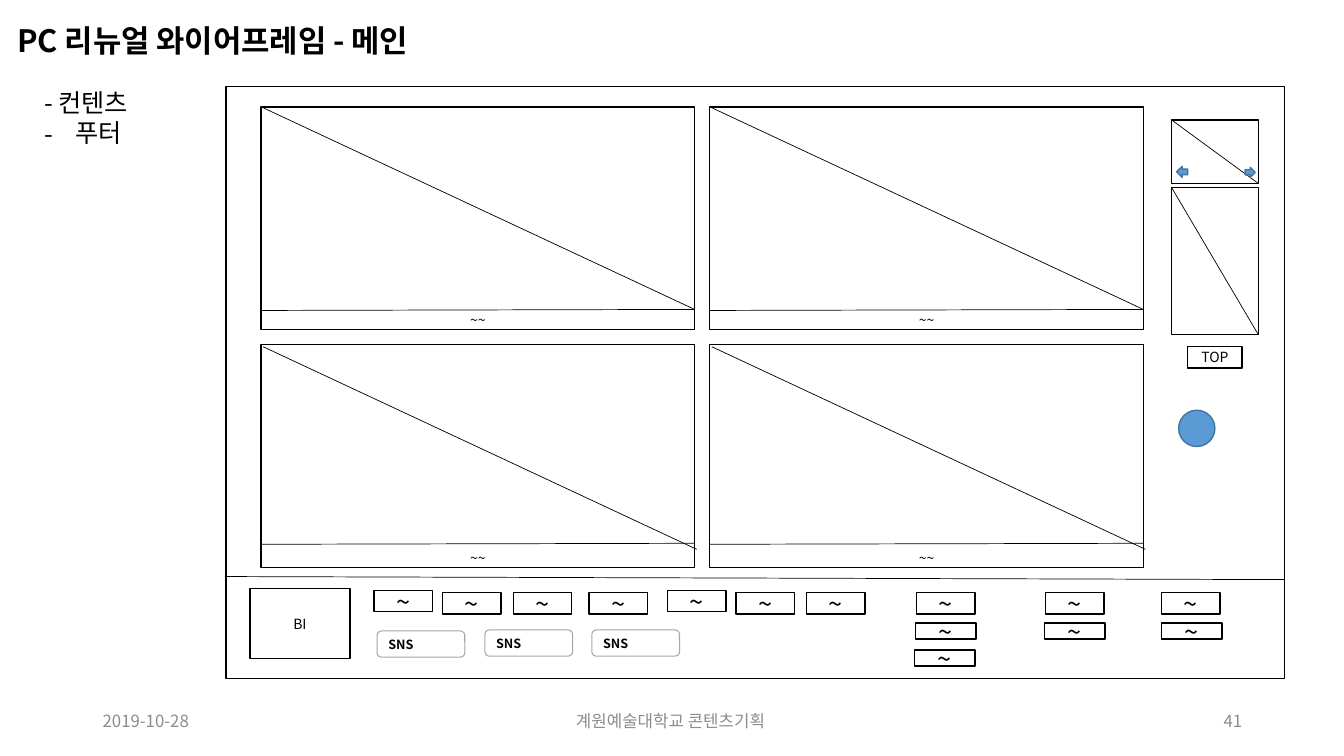
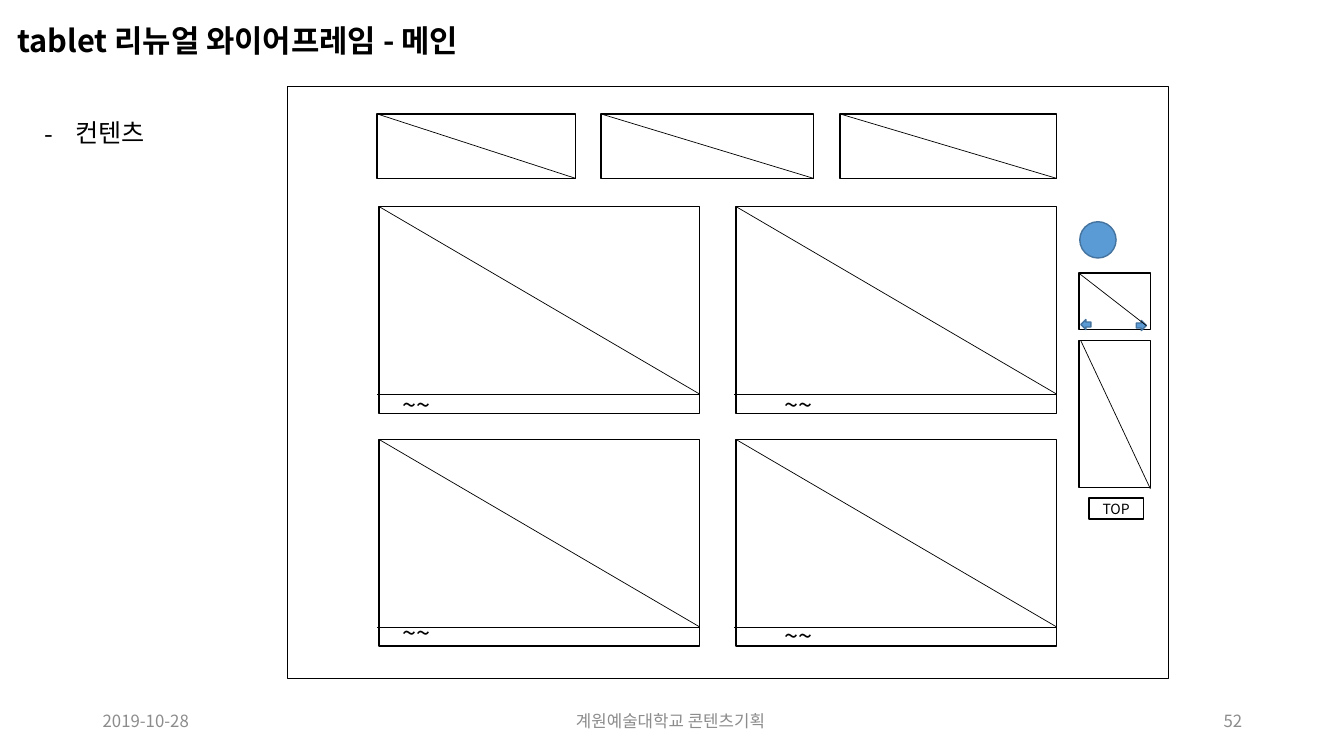
from lxml.etree import SubElement
from pptx import Presentation
from pptx.dml.color import RGBColor
from pptx.enum.shapes import MSO_CONNECTOR, MSO_SHAPE as Shape
from pptx.enum.text import MSO_ANCHOR as Anchor, MSO_AUTO_SIZE, PP_ALIGN as Align
from pptx.oxml.ns import qn
from pptx.util import Inches, Pt

FONT = "Noto Sans CJK KR"
COLORS = {
    "ink": "000000",
    "muted": "8C8C8C",
    "paper": "FFFFFF",
    "button_edge": "A6A6A6",
    "accent": "5B9BD5",
    "accent_edge": "43739E",
}
DATE = "2019-10-28"
FOOTER = "계원예술대학교 콘텐츠기획 "
BLANK_TITLE_LAYOUT = 5


def color(name):
    return RGBColor.from_string(COLORS[name])


# Text
def add_text(para, text, size, ink="ink", bold=False, align=Align.LEFT):
    para.alignment = align
    span = para.add_run()
    span.text = text
    span.font.size = Pt(size)
    span.font.bold = bold
    span.font.color.rgb = color(ink)
    span.font.name = FONT
    SubElement(span.font._element, qn("a:ea"), typeface=FONT)


def add_textbox(slide, left, top, width, height, wrap=True):
    frame = slide.shapes.add_textbox(
        Inches(left), Inches(top), Inches(width), Inches(height)).text_frame
    frame.word_wrap = wrap
    frame.vertical_anchor = Anchor.MIDDLE
    return frame


def add_label(slide, text, left, top, width, height, size, **style):
    frame = add_textbox(slide, left, top, width, height)
    add_text(frame.paragraphs[0], text, size, **style)


def add_bullet(para):
    properties = para._p.get_or_add_pPr()
    indent = Inches(0.31)
    properties.set("marL", str(indent))
    properties.set("indent", str(-indent))
    SubElement(properties, qn("a:buFont"), typeface=FONT)
    SubElement(properties, qn("a:buChar"), char="-")


def add_sections(slide, top, height, sections):
    """List the page sections; each is a text and whether it is bulleted."""
    frame = add_textbox(slide, 0.34, top, 1.27, height, wrap=False)
    for index, (text, bulleted) in enumerate(sections):
        para = frame.add_paragraph() if index else frame.paragraphs[0]
        para.line_spacing = Pt(21.6)
        if bulleted:
            add_bullet(para)
        add_text(para, text, 18)


# Shapes and lines
def add_box(slide, left, top, width, height, kind=Shape.RECTANGLE,
            fill=None, edge="ink", weight=1):
    box = slide.shapes.add_shape(
        kind, Inches(left), Inches(top), Inches(width), Inches(height))
    box.shadow.inherit = False
    if fill:
        box.fill.solid()
        box.fill.fore_color.rgb = color(fill)
    else:
        box.fill.background()
    box.line.color.rgb = color(edge)
    box.line.width = Pt(weight)
    return box


def add_text_box_shape(slide, text, left, top, width, height, size):
    box = add_box(slide, left, top, width, height)
    frame = box.text_frame
    frame.vertical_anchor = Anchor.MIDDLE
    add_text(frame.paragraphs[0], text, size, align=Align.CENTER)


def add_accent(slide, kind, left, top, size):
    add_box(slide, left, top, size, size, kind, "accent", "accent_edge")


def add_line(slide, x1, y1, x2, y2):
    line = slide.shapes.add_connector(
        MSO_CONNECTOR.STRAIGHT, Inches(x1), Inches(y1), Inches(x2), Inches(y2))
    line.line.color.rgb = color("ink")
    line.line.width = Pt(0.5)
    SubElement(line._element.spPr, qn("a:effectLst"))


def add_image_slot(slide, left, top, width, height):
    add_box(slide, left, top, width, height)
    add_line(slide, left, top, left + width, top + height)


def add_sns_button(slide, left, top):
    button = add_box(slide, left, top, 0.87, 0.26, Shape.ROUNDED_RECTANGLE,
                     "paper", "button_edge", 0.75)
    button.text_frame.vertical_anchor = Anchor.MIDDLE
    add_text(button.text_frame.paragraphs[0], "SNS", 9, bold=True)


# Page frame shared by the slides
def add_page(deck, title, number):
    slide = deck.slides.add_slide(deck.slide_layouts[BLANK_TITLE_LAYOUT])
    heading = slide.shapes.title
    heading.left, heading.top = Inches(0.07), Inches(0.16)
    heading.width, heading.height = Inches(5.01), Inches(0.47)
    frame = heading.text_frame
    frame.auto_size = MSO_AUTO_SIZE.NONE
    frame.word_wrap = False
    frame.vertical_anchor = Anchor.MIDDLE
    add_text(frame.paragraphs[0], title, 22, bold=True)
    for text, left, width, align in (
            (DATE, 0.92, 3, Align.LEFT),
            (FOOTER, 4.42, 4.5, Align.CENTER),
            (str(number), 9.42, 3, Align.RIGHT)):
        add_label(slide, text, left, 6.95, width, 0.4, 12,
                  ink="muted", align=align)
    return slide


# PC wireframe
def add_pc_card(slide, left, top, strip, shift):
    width, height = 4.3, 2.21
    card = add_box(slide, left, top, width, height)
    frame = card.text_frame
    frame.vertical_anchor = Anchor.BOTTOM
    frame.margin_bottom = Inches(0.01)
    add_text(frame.paragraphs[0], "~~", 10, align=Align.CENTER)
    add_line(slide, left, strip + 0.01, left + width, strip)
    add_line(slide, left + shift, top + shift,
             left + width + shift, top + 2.01 + shift)


def add_pc_footer(slide):
    add_line(slide, 2.23, 5.72, 12.74, 5.75)
    add_text_box_shape(slide, "BI", 2.48, 5.84, 0.99, 0.69, 10)
    for left, top in ((3.74, 6.26), (4.81, 6.25), (5.87, 6.25)):
        add_sns_button(slide, left, top)

    # Menu row, then the link columns below its last three entries
    for left, top in ((3.71, 5.86), (4.39, 5.88), (5.09, 5.88), (5.84, 5.88),
                      (6.62, 5.86), (7.3, 5.88), (8, 5.88),
                      (9.09, 5.88), (10.37, 5.88), (11.52, 5.88)):
        add_text_box_shape(slide, "~", left, top, 0.58, 0.21, 18)
    for left, top in ((9.08, 6.18), (10.36, 6.18), (11.52, 6.18), (9.07, 6.45)):
        add_text_box_shape(slide, "~", left, top, 0.6, 0.16, 18)


def build_pc(deck):
    slide = add_page(deck, "PC 리뉴얼 와이어프레임 - 메인", 41)
    add_sections(slide, 0.81, 0.71, (("- 컨텐츠", False), ("푸터", True)))
    add_box(slide, 2.24, 0.86, 10.5, 5.87)

    for top, strip, shift in ((1.06, 3.07, 0), (3.42, 5.39, 0.02)):
        for left in (2.59, 7.04):
            add_pc_card(slide, left, top, strip, shift)

    # Quick menu
    add_image_slot(slide, 11.62, 1.19, 0.86, 0.63)
    add_accent(slide, Shape.LEFT_ARROW, 11.67, 1.65, 0.11)
    add_accent(slide, Shape.RIGHT_ARROW, 12.35, 1.66, 0.1)
    add_image_slot(slide, 11.62, 1.86, 0.86, 1.46)
    add_text_box_shape(slide, "TOP", 11.78, 3.44, 0.54, 0.21, 10)
    add_accent(slide, Shape.OVAL, 11.69, 4.07, 0.36)

    add_pc_footer(slide)


# Tablet wireframe
def add_tablet_card(slide, left, top, caption_left, caption_top):
    width, strip = 3.18, top + 1.86
    add_box(slide, left, top, width, 2.05)
    add_line(slide, left - 0.02, strip, left + width, strip)
    add_line(slide, left, top, left + width, strip)
    add_label(slide, "~~", caption_left, caption_top, 1.09, 0.4, 18)


def build_tablet(deck):
    slide = add_page(deck, "tablet 리뉴얼 와이어프레임 - 메인", 52)
    add_sections(slide, 1.11, 0.41, (("컨텐츠", True),))
    add_box(slide, 2.85, 0.86, 8.74, 5.87)

    for left, width in ((3.74, 1.97), (5.96, 2.11), (8.33, 2.15)):
        add_image_slot(slide, left, 1.13, width, 0.64)
    for top, caption_tops in ((2.05, (3.81, 3.81)), (4.36, (6.07, 6.1))):
        for left, caption_left, caption_top in zip(
                (3.76, 7.3), (3.89, 7.68), caption_tops):
            add_tablet_card(slide, left, top, caption_left, caption_top)

    # Quick menu
    add_accent(slide, Shape.OVAL, 10.71, 2.2, 0.36)
    add_box(slide, 10.7, 2.71, 0.71, 0.56)
    add_accent(slide, Shape.LEFT_ARROW, 10.72, 3.17, 0.1)
    add_accent(slide, Shape.RIGHT_ARROW, 11.27, 3.18, 0.1)
    add_line(slide, 10.7, 2.71, 11.37, 3.23)
    add_box(slide, 10.7, 3.38, 0.71, 1.46)
    add_line(slide, 10.72, 3.38, 11.41, 4.85)
    add_text_box_shape(slide, "TOP", 10.8, 4.94, 0.54, 0.21, 10)


def main():
    deck = Presentation()
    deck.slide_width, deck.slide_height = Inches(13.33), Inches(7.5)
    build_pc(deck)
    build_tablet(deck)
    deck.save("out.pptx")


if __name__ == "__main__":
    main()
